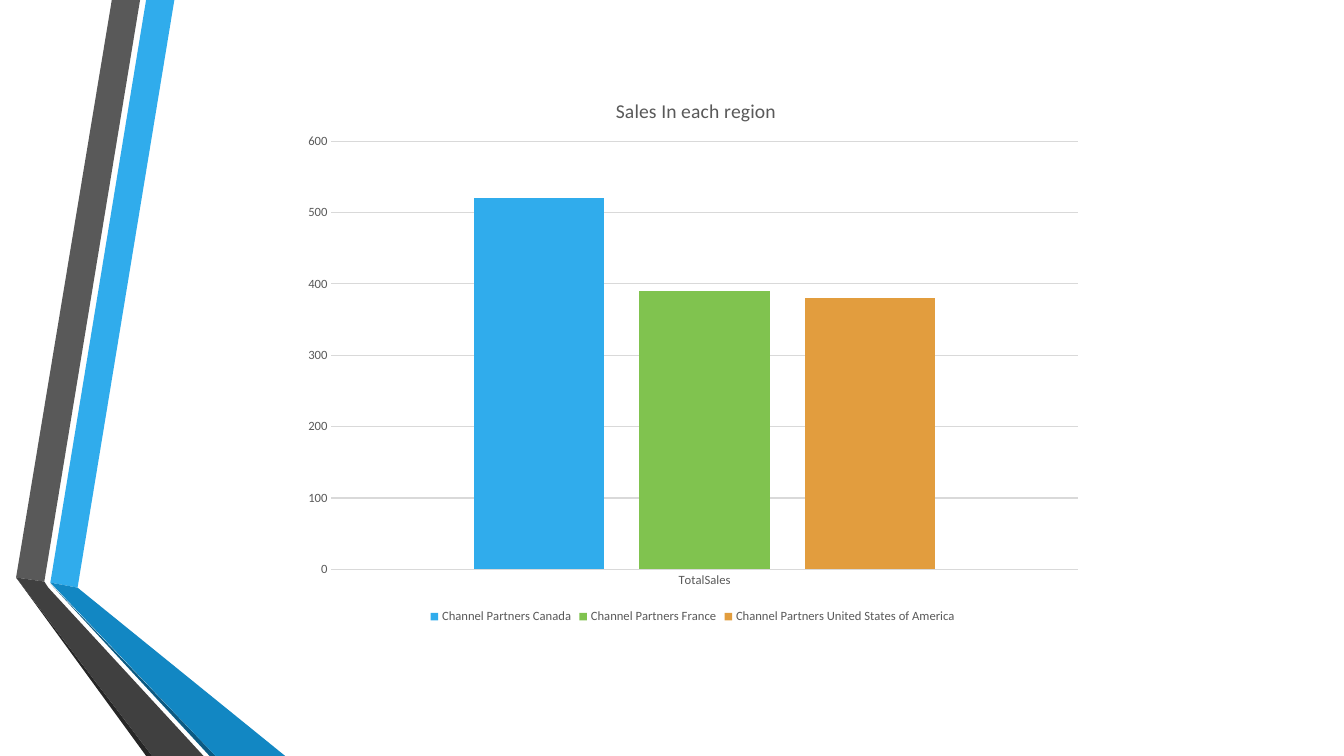
from lxml.etree import SubElement
from pptx import Presentation
from pptx.chart.data import CategoryChartData
from pptx.dml.color import RGBColor
from pptx.enum.chart import XL_CHART_TYPE, XL_LEGEND_POSITION, XL_TICK_MARK
from pptx.oxml import parse_xml
from pptx.oxml.ns import nsdecls, qn
from pptx.util import Inches, Pt

HUES = {
    "sky": "30ACEC", "ocean": "1287C3", "navy": "0C5A82",
    "ash": "595959", "coal": "404040", "ink": "262626",
    "leaf": "80C34F", "amber": "E29D3E", "rule": "D9D9D9",
}
RIBBON = [
    ("sky", [(5, 57.8), (7.7, 58.3), (17.3, 0), (14.5, 0)]),
    ("ash", [(13.9, 0), (11.1, 0), (1.6, 57.3), (4.4, 57.7)]),
    ("ink", [(1.6, 57.3), (14.5, 75), (15.1, 75)]),
    ("navy", [(5, 57.9), (20.8, 75), (21.4, 75)]),
    ("ocean", [(5, 57.8), (21.4, 75), (28.3, 75), (7.7, 58.3)]),
    ("coal", [(20.2, 75), (4.8, 58.3), (4.4, 57.7), (1.6, 57.3), (15.1, 75)]),
]
SALES = [
    ("Channel Partners Canada", 520, "sky"),
    ("Channel Partners France", 390, "leaf"),
    ("Channel Partners United States of America", 380, "amber"),
]


def put(item, form):
    for key, value in form.items():
        setattr(item, key, value)


class Deck:
    """Draws styled elements on a slide, on a grid of 0.1 inch cells."""

    cell = Inches(0.1)
    face = "Calibri"

    def __init__(self, cols, rows):
        self.show = Presentation()
        put(self.show, {"slide_width": self.grid(cols),
                        "slide_height": self.grid(rows)})
        self.slide = self.show.slides.add_slide(self.show.slide_layouts[6])

    def grid(self, count):
        return round(count * self.cell)

    def hue(self, name):
        return RGBColor.from_string(HUES[name])

    def paint(self, fill, name):
        fill.solid()
        fill.fore_color.rgb = self.hue(name)

    def type(self, font, size):
        put(font, {"name": self.face, "size": Pt(size), "bold": False})
        font.color.rgb = self.hue("ash")

    def line(self, line):
        line.width = Pt(0.75)
        line.color.rgb = self.hue("rule")

    def shard(self, name, dots):
        first, *rest = [tuple(map(self.grid, dot)) for dot in dots]
        pen = self.slide.shapes.build_freeform(*first)
        pen.add_line_segments(rest, close=True)
        shape = pen.convert_to_shape()
        shape.shadow.inherit = False
        self.paint(shape.fill, name)
        shape.line.fill.background()

    def place(self, node, spot, inner=False):
        layout = node.find(qn("c:layout"))
        if layout is None:
            layout = parse_xml(f"<c:layout {nsdecls('c')}/>")
            node.insert(0, layout)
        manual = SubElement(layout, qn("c:manualLayout"))
        tags = {"layoutTarget": "inner"} if inner else {}
        tags |= {"xMode": "edge", "yMode": "edge"}
        tags |= dict(zip("xywh", spot))
        for tag, value in tags.items():
            SubElement(manual, qn(f"c:{tag}"), val=str(value))

    def columns(self, box, title, group, sales):
        data = CategoryChartData()
        data.categories = [group]
        for name, value, _ in sales:
            data.add_series(name, [value])
        chart = self.slide.shapes.add_chart(
            XL_CHART_TYPE.COLUMN_CLUSTERED, *map(self.grid, box), data).chart
        self.type(chart.font, 9)

        head = chart.chart_title
        head.text_frame.text = title
        self.type(head.text_frame.paragraphs[0].runs[0].font, 14)
        head.include_in_layout = False
        self.place(head.element, (0.4, 0.04))

        plot = chart.plots[0]
        put(plot, {"gap_width": 219, "overlap": -27, "vary_by_categories": False})
        for series, (_, _, name) in zip(plot.series, sales):
            self.paint(series.format.fill, name)
        self.place(chart.element.find(f".//{qn('c:plotArea')}"),
                   (0.05, 0.125, 0.93, 0.77), True)

        for axis in (chart.category_axis, chart.value_axis):
            put(axis, {"major_tick_mark": XL_TICK_MARK.NONE,
                       "minor_tick_mark": XL_TICK_MARK.NONE})
            self.type(axis.tick_labels.font, 9)
        self.line(chart.category_axis.format.line)
        put(axis, {"minimum_scale": 0, "maximum_scale": 600, "major_unit": 100,
                   "has_major_gridlines": True})
        self.line(axis.major_gridlines.format.line)
        axis.format.line.fill.background()

        chart.has_legend = True
        put(chart.legend, {"position": XL_LEGEND_POSITION.BOTTOM,
                           "include_in_layout": False})
        self.type(chart.legend.font, 9)


def main():
    deck = Deck(133.33, 75)
    for name, dots in RIBBON:
        deck.shard(name, dots)
    deck.columns((28.9, 7.1, 79.6, 55.2), "Sales In each region", "TotalSales", SALES)
    deck.show.save("out.pptx")


if __name__ == "__main__":
    main()
